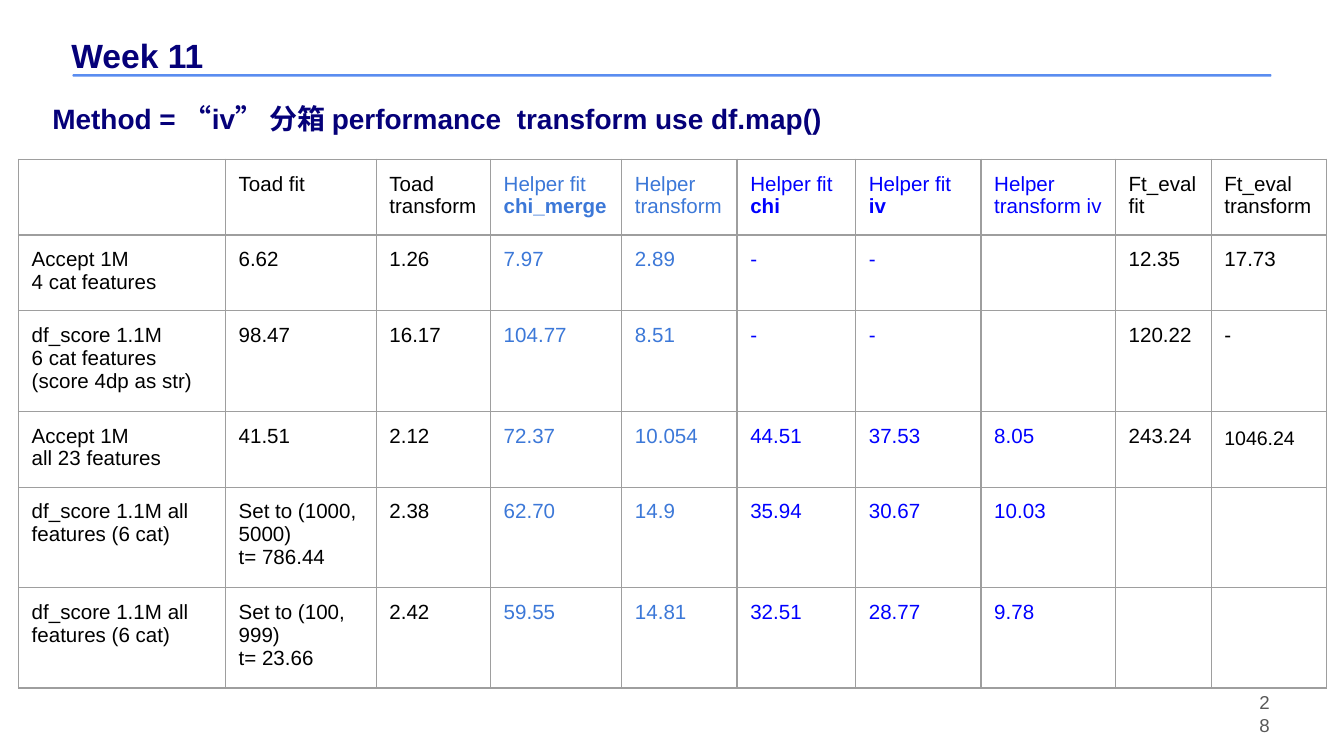
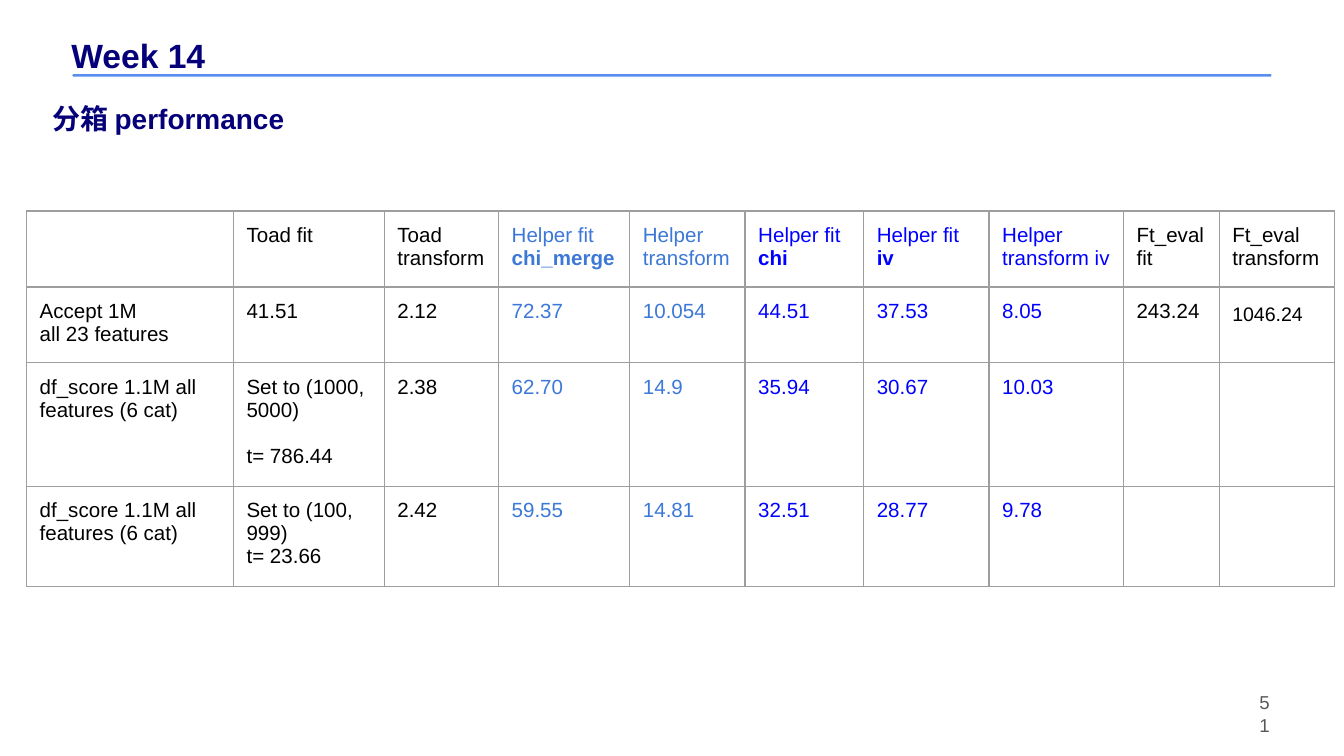
import pptx
import pptx.util
import pptx.dml.color
import pptx.enum.shapes
import pptx.enum.text
import pptx.oxml
import pptx.oxml.ns

Cm, Pt = pptx.util.Cm, pptx.util.Pt

COLORS = {
    "navy": "050079",
    "rule": "5A8DF0",
    "number": "595959",
    "grid": "9E9E9E",
    "plain": "000000",
    "merge": "3C78D8",
    "helper": "0000FF",
}

HEADINGS = [
    ("", "plain", 3.91),
    ("Toad fit", "plain", 2.85),
    ("Toad transform", "plain", 2.16),
    ("Helper fit *chi_merge*", "merge", 2.48),
    ("Helper transform", "merge", 2.18),
    ("Helper fit\n*chi*", "helper", 2.24),
    ("Helper fit *iv*", "helper", 2.37),
    ("Helper transform iv", "helper", 2.54),
    ("Ft_eval\nfit", "plain", 1.81),
    ("Ft_eval\ntransform", "plain", 2.18),
]
CATEGORY_TIMINGS = [
    ("Accept 1M\n4 cat features", "6.62", "1.26", "7.97", "2.89", "-", "-", "", "12.35", "17.73"),
    ("df_score 1.1M\n6 cat features\n(score 4dp as str)", "98.47", "16.17", "104.77", "8.51",
     "-", "-", "", "120.22", "-"),
]
FULL_TIMINGS = [
    ("Accept 1M\nall 23 features", "41.51", "2.12", "72.37", "10.054", "44.51", "37.53", "8.05",
     "243.24", "1046.24"),
    ("df_score 1.1M all features (6 cat)", "Set to (1000, 5000)\nt= 786.44", "2.38", "62.70",
     "14.9", "35.94", "30.67", "10.03", "", ""),
    ("df_score 1.1M all features (6 cat)", "Set to (100, 999)\nt= 23.66", "2.42", "59.55",
     "14.81", "32.51", "28.77", "9.78", "", ""),
]
WEEKS = [
    {
        "week": "Week 11",
        "topic": "Method = “iv” 分箱 performance  transform use df.map()",
        "number": "28",
        "timings": CATEGORY_TIMINGS + FULL_TIMINGS,
        "corner": (0.35, 3.01),
        "gaps": {},
    },
    {
        "week": "Week 14",
        "topic": "分箱 performance",
        "number": "51",
        "timings": FULL_TIMINGS,
        "corner": (0.5, 3.99),
        "gaps": {"t= 786.44": 12.3},
    },
]

LABELS = {
    "week": {"box": (1.35, 0.66, 23.39, 0.76), "size": 18, "color": "navy", "bold": True},
    "topic": {"box": (0.99, 1.83, 15.14, 0.58), "size": 15, "color": "navy", "bold": True,
              "spacing": 1.15},
    "number": {"box": (23.8, 13.31, 0.25, 0.36), "size": 10, "color": "number", "anchor": "MIDDLE"},
}
RULE_BOX = (1.37, 1.4, 22.66, 0.05)
HEADING_HEIGHT, TIMING_HEIGHT = 1.19, 1.07
SIDES = ("left", "top", "right", "bottom")
CELL_MARGINS = {f"margin_{side}": Cm(0.25) for side in SIDES}
LABEL_FRAME = {"word_wrap": True, **{f"margin_{side}": 0 for side in SIDES}}
SPECIAL_SIZES = {"1046.24": {"size": 10.5, "spacing": 1.15}}


def apply(target, values):
    for name, value in values.items():
        setattr(target, name, value)


def rgb(color):
    return pptx.dml.color.RGBColor.from_string(COLORS[color])


def add_run(paragraph, text, size, color, bold=False):
    run = paragraph.add_run()
    run.text = text
    apply(run.font, {"name": "Arial", "size": Pt(size), "bold": bold})
    run.font.color.rgb = rgb(color)


def add_label(slide, text, box, size, color, bold=False, spacing=1.0, anchor="TOP"):
    frame = slide.shapes.add_textbox(*map(Cm, box)).text_frame
    apply(frame, LABEL_FRAME)
    frame.vertical_anchor = pptx.enum.text.MSO_ANCHOR[anchor]
    frame.paragraphs[0].line_spacing = spacing
    add_run(frame.paragraphs[0], text, size, color, bold)


def add_rule(slide):
    rule = slide.shapes.add_shape(pptx.enum.shapes.MSO_SHAPE.ROUNDED_RECTANGLE, *map(Cm, RULE_BOX))
    rule.adjustments[0] = 0.5
    rule.shadow.inherit = False
    rule.fill.solid()
    rule.fill.fore_color.rgb = rgb("rule")
    rule.line.fill.background()


def add_borders(cell):
    properties = cell._tc.get_or_add_tcPr()
    for place, side in enumerate("LRTB"):
        properties.insert(place, pptx.oxml.parse_xml(
            f'<a:ln{side} {pptx.oxml.ns.nsdecls("a")} w="{Pt(0.75)}"><a:solidFill>'
            f'<a:srgbClr val="{COLORS["grid"]}"/></a:solidFill></a:ln{side}>'))


def fill_cell(cell, text, color, gaps):
    apply(cell, CELL_MARGINS)
    cell.fill.background()
    add_borders(cell)
    if not text:
        return
    special = SPECIAL_SIZES.get(text, {"size": 11, "spacing": 1.0})
    for index, line in enumerate(text.split("\n")):
        frame = cell.text_frame
        paragraph = frame.add_paragraph() if index else frame.paragraphs[0]
        paragraph.line_spacing = special["spacing"]
        if line in gaps:
            paragraph.space_before = Pt(gaps[line])
        for part, words in enumerate(line.split("*")):
            if words:
                add_run(paragraph, words, special["size"], color, bold=part % 2 == 1)


def add_timings(slide, timings, corner, gaps):
    headings, colors, widths = zip(*HEADINGS)
    rows = [headings, *timings]
    heights = [HEADING_HEIGHT] + [TIMING_HEIGHT] * len(timings)
    table = slide.shapes.add_table(
        len(rows), len(widths), *map(Cm, (*corner, sum(widths), sum(heights)))).table
    apply(table, {"first_row": False, "horz_banding": False})
    for column, width in zip(table.columns, widths):
        column.width = Cm(width)
    for r, (texts, height) in enumerate(zip(rows, heights)):
        table.rows[r].height = Cm(height)
        for c, (text, color) in enumerate(zip(texts, colors)):
            fill_cell(table.cell(r, c), text, color, gaps)


def main():
    deck = pptx.Presentation()
    apply(deck, {"slide_width": Cm(25.4), "slide_height": Cm(14.29)})
    for week in WEEKS:
        slide = deck.slides.add_slide(deck.slide_layouts[6])
        for part, style in LABELS.items():
            add_label(slide, week[part], **style)
        add_rule(slide)
        add_timings(slide, week["timings"], week["corner"], week["gaps"])
    deck.save("out.pptx")


if __name__ == "__main__":
    main()
